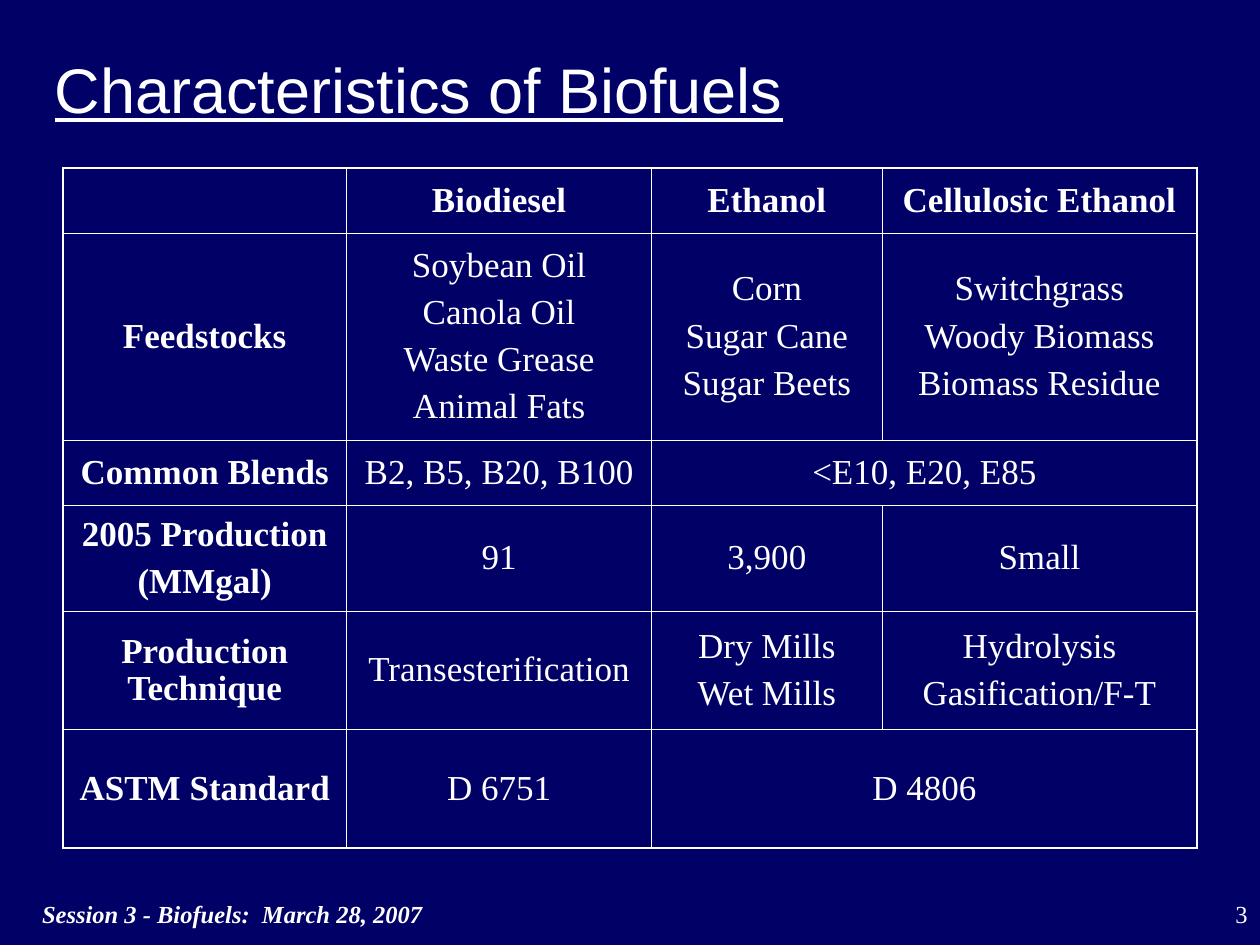
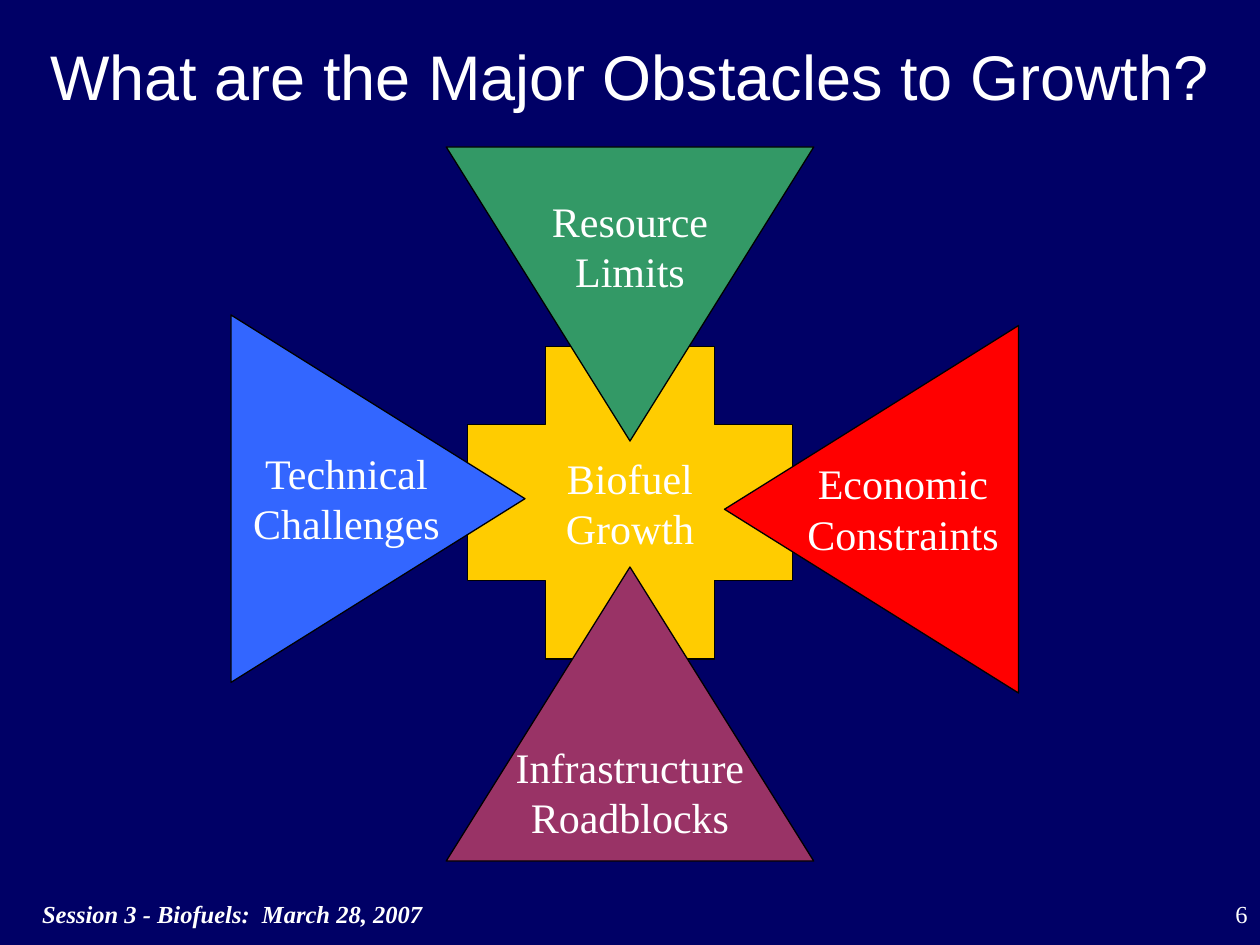
from lxml.etree import SubElement
from pptx import Presentation
from pptx.dml.color import RGBColor
from pptx.enum.shapes import MSO_SHAPE
from pptx.enum.text import MSO_ANCHOR, MSO_AUTO_SIZE, PP_ALIGN
from pptx.oxml.ns import qn
from pptx.util import Pt

NAVY, WHITE, BLACK = "000066", "FFFFFF", "000000"
SANS, SERIF = "Arial", "Times New Roman"
LEFT, MID, RIGHT = PP_ALIGN.LEFT, PP_ALIGN.CENTER, PP_ALIGN.RIGHT
FOOTER = "Session 3 - Biofuels:  March 28, 2007"
THIN, THICK = 0.45, 1.08

COLS = [162, 174.5, 131.5, 180]
ROWS = [37.5, 118, 37.5, 60.5, 67.5, 67.5]
# Each cell is a list of paragraphs; None joins it to the cell on its left.
FUELS = [
    [[], ["Biodiesel"], ["Ethanol"], ["Cellulosic Ethanol"]],
    [["Feedstocks"],
     ["Soybean Oil", "Canola Oil", "Waste Grease", "Animal Fats"],
     ["Corn", "Sugar Cane", "Sugar Beets"],
     ["Switchgrass", "Woody Biomass", "Biomass Residue"]],
    [["Common Blends"], ["B2, B5, B20, B100"], ["<E10, E20, E85"], None],
    [["2005 Production", "(MMgal)"], ["91"], ["3,900"], ["Small"]],
    [["Production Technique"], ["Transesterification"],
     ["Dry Mills", "Wet Mills"], ["Hydrolysis", "Gasification/F-T"]],
    [["ASTM Standard"], ["D 6751"], ["D 4806"], None],
]

# Centre x, centre y, turn, fill; then label, left, top, width
BLOCKS = [
    (360, 408, 0, "993366", "Infrastructure\nRoadblocks", 285, 420, 150),
    (216, 285, 90, "3366FF", "Technical\nChallenges", 132, 252, 132),
    (360, 168, 180, "339966", "Resource Limits", 306.5, 108, 107),
    (498, 291, 270, "FF0000", "Economic\nConstraints", 450, 258, 132),
]


def color(code):
    return RGBColor.from_string(code)


def write(frame, lines, size, face=SERIF, align=MID, bold=False,
          italic=False, under=False, pitch=1.0, gap=0):
    """Fill a text frame with one paragraph per line."""
    for i, line in enumerate(lines):
        para = frame.add_paragraph() if i else frame.paragraphs[0]
        para.text = line
        para.alignment = align
        para.line_spacing = pitch
        para.space_before = Pt(gap if i else 0)
        font = para.font
        font.name, font.size = face, Pt(size)
        font.bold, font.italic, font.underline = bold, italic, under
        font.color.rgb = color(WHITE)


def add_text(slide, box, text, size, **style):
    frame = slide.shapes.add_textbox(*map(Pt, box)).text_frame
    frame.word_wrap = True
    write(frame, [text], size, **style)
    return frame


def add_slide(deck, title, box, page, under=False):
    """Add a slide with its title, footer and page number."""
    slide = deck.slides.add_slide(deck.slide_layouts[5])
    head = slide.shapes.title
    head.left, head.top, head.width, head.height = map(Pt, box)
    frame = head.text_frame
    frame.word_wrap = True
    frame.auto_size = MSO_AUTO_SIZE.NONE
    frame.vertical_anchor = MSO_ANCHOR.TOP
    write(frame, [title], 36, SANS, LEFT, under=under)
    foot = add_text(slide, (0, 510, 636, 30), FOOTER, 14,
                    align=LEFT, bold=True, italic=True)
    foot.margin_left = Pt(24)
    add_text(slide, (678, 510, 42, 30), page, 14, align=RIGHT)
    return slide


def set_edges(cell, widths):
    """Draw cell borders; widths run left, right, top, bottom."""
    props = cell._tc.get_or_add_tcPr()
    for side, width in zip("LRTB", widths):
        line = SubElement(props, qn(f"a:ln{side}"), w=str(int(Pt(width))))
        fill = SubElement(line, qn("a:solidFill"))
        SubElement(fill, qn("a:srgbClr"), val=WHITE)


def add_grid(slide, left, top):
    frame = slide.shapes.add_table(len(ROWS), len(COLS), Pt(left), Pt(top),
                                   Pt(sum(COLS)), Pt(sum(ROWS)))
    grid = frame.table
    grid.first_row = grid.horz_banding = False
    for col, width in zip(grid.columns, COLS):
        col.width = Pt(width)
    for row, height in zip(grid.rows, ROWS):
        row.height = Pt(height)
    for r, items in enumerate(FUELS):
        for c, lines in enumerate(items):
            if lines is None:
                grid.cell(r, c - 1).merge(grid.cell(r, c))
    for r, items in enumerate(FUELS):
        for c, lines in enumerate(items):
            cell = grid.cell(r, c)
            if lines is not None:
                last = c + cell.span_width == len(COLS)
                outer = (c == 0, last, r == 0, r == len(ROWS) - 1)
                set_edges(cell, [THICK if out else THIN for out in outer])
                cell.vertical_anchor = MSO_ANCHOR.MIDDLE
                write(cell.text_frame, lines, 20, bold=r == 0 or c == 0,
                      pitch=0.97, gap=5.4)
            cell.fill.background()


def add_form(slide, kind, box, fill, turn=0):
    form = slide.shapes.add_shape(kind, *map(Pt, box))
    form.shadow.inherit = False
    form.rotation = turn
    form.fill.solid()
    form.fill.fore_color.rgb = color(fill)
    form.line.color.rgb = color(BLACK)
    form.line.width = Pt(0.75)
    return form


def add_cross(slide):
    """Place the central cross and the four blocks that point at it."""
    cross = add_form(slide, MSO_SHAPE.CROSS, (267, 198, 186, 178.5), "FFCC00")
    cross.adjustments[0] = 0.25
    frame = cross.text_frame
    frame.word_wrap = False
    frame.vertical_anchor = MSO_ANCHOR.MIDDLE
    write(frame, ["Biofuel\nGrowth"], 24)
    wide, high = 210, 168
    for x, y, turn, fill, *_ in BLOCKS:
        add_form(slide, MSO_SHAPE.ISOSCELES_TRIANGLE,
                 (x - wide / 2, y - high / 2, wide, high), fill, turn)
    for *_, label, left, top, width in BLOCKS:
        add_text(slide, (left, top, width, 65), label, 24)


def main():
    deck = Presentation()
    deck.slide_width, deck.slide_height = Pt(720), Pt(540)
    back = deck.slide_master.background.fill
    back.solid()
    back.fore_color.rgb = color(NAVY)

    fuels = add_slide(deck, "Characteristics of Biofuels",
                      (24, 25, 450, 50.5), "3", under=True)
    add_grid(fuels, 36, 96)

    growth = add_slide(deck, "What are the Major Obstacles to Growth?",
                       (21.5, 18, 685, 50.5), "6")
    add_cross(growth)
    deck.save("out.pptx")


if __name__ == "__main__":
    main()
